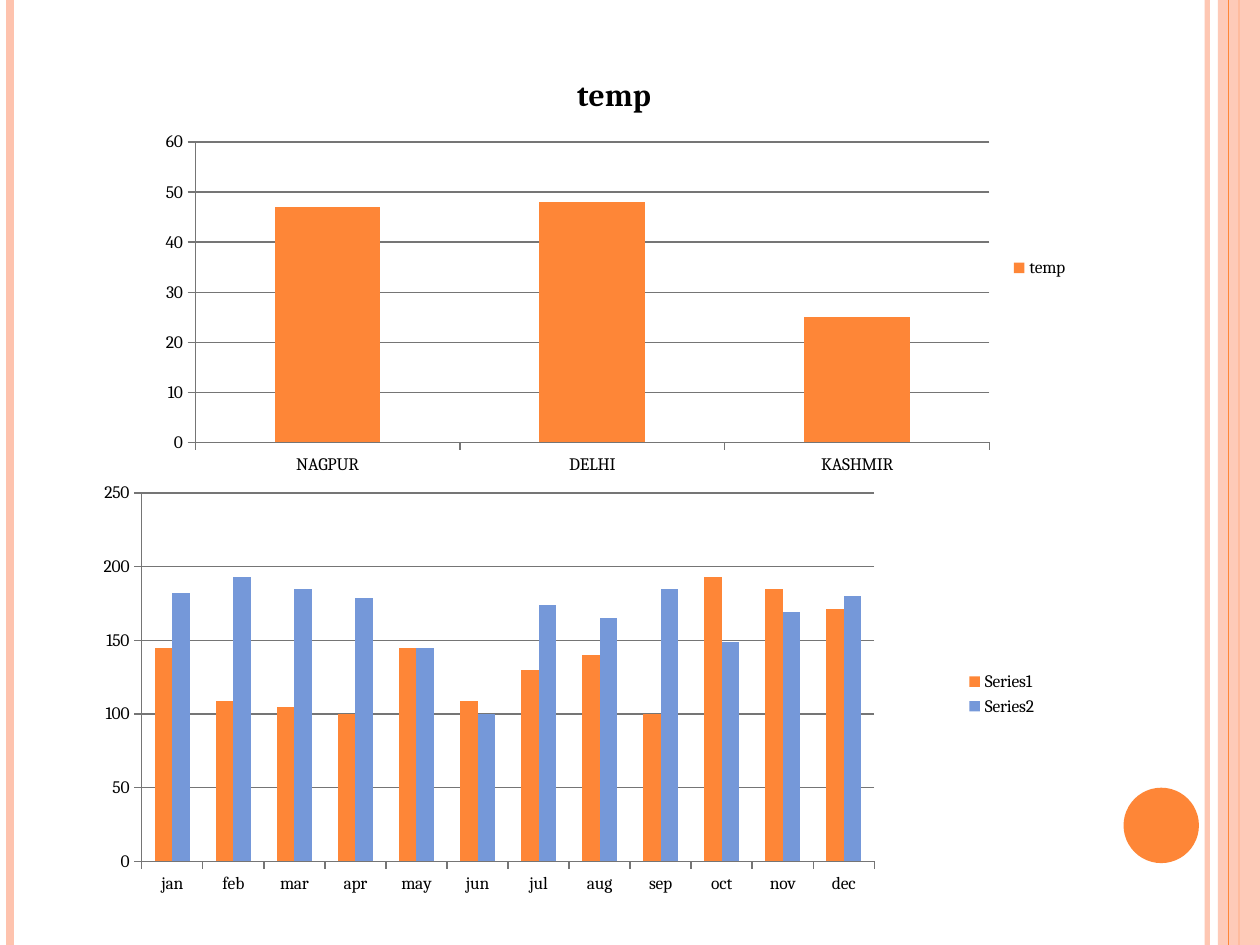
from lxml.etree import SubElement
from pptx import Presentation
from pptx.chart.data import CategoryChartData
from pptx.dml.color import RGBColor
from pptx.enum.chart import XL_CHART_TYPE, XL_LEGEND_POSITION, XL_TICK_MARK
from pptx.enum.shapes import MSO_CONNECTOR, MSO_SHAPE
from pptx.oxml.ns import qn
from pptx.util import Cm, Pt

COLOURS = {
    "orange": "FE8637",
    "peach": "FEC3AE",
    "blue": "7598D9",
    "axis": "757575",
    "text": "000000",
}
FONT = "Cambria"
PAGE_WIDTH, PAGE_HEIGHT = 25.4, 19.05
CITIES = ["NAGPUR", "DELHI", "KASHMIR"]
MONTHS = ["jan", "feb", "mar", "apr", "may", "jun",
          "jul", "aug", "sep", "oct", "nov", "dec"]
CITY_SERIES = [("temp", [47, 48, 25], "orange")]
MONTH_SERIES = [
    ("Series1", [145, 109, 105, 100, 145, 109, 130, 140, 100, 193, 185, 171], "orange"),
    ("Series2", [182, 193, 185, 179, 145, 100, 174, 165, 185, 149, 169, 180], "blue"),
]


def colour(name):
    """Return the named colour."""
    return RGBColor.from_string(COLOURS[name])


def format_font(font, size=10, bold=False, tint="text"):
    """Apply the deck font to a font object."""
    font.name = FONT
    font.size = Pt(size)
    font.bold = bold
    font.color.rgb = colour(tint)


def write_text(frame, text, **style):
    """Put one formatted span of text into a text frame."""
    span = frame.paragraphs[0].add_run()
    span.text = text
    format_font(span.font, **style)


def set_opacity(properties, percent):
    """Make the solid colour below the given element partly transparent."""
    tint = properties.find(".//" + qn("a:srgbClr"))
    SubElement(tint, qn("a:alpha"), val=str(percent * 1000))


def add_stripe(page, left, width, tint, opacity=100):
    """Draw a full-height vertical line."""
    line = page.shapes.add_connector(
        MSO_CONNECTOR.STRAIGHT, Cm(left), 0, Cm(left), Cm(PAGE_HEIGHT))
    line.line.color.rgb = colour(tint)
    line.line.width = Pt(width)
    properties = line._element.spPr
    if opacity < 100:
        set_opacity(properties, opacity)
    SubElement(properties, qn("a:effectLst"))


def add_plain_shape(page, kind, box, tint):
    """Draw a filled shape without outline or shadow."""
    shape = page.shapes.add_shape(kind, *map(Cm, box))
    shape.shadow.inherit = False
    shape.fill.solid()
    shape.fill.fore_color.rgb = colour(tint)
    shape.line.fill.background()
    return shape


def add_frame(page):
    """Draw the side stripes, the right band and the corner circle."""
    band_width = 0.85
    band_left = PAGE_WIDTH - band_width
    add_stripe(page, band_left - 0.21, 3, "peach", opacity=93)
    add_stripe(page, 0.21, 4.5, "peach")
    add_stripe(page, band_left + 0.43, 1.5, "orange")
    band = add_plain_shape(
        page, MSO_SHAPE.RECTANGLE, (band_left, 0, band_width, PAGE_HEIGHT), "peach")
    set_opacity(band._element.spPr, 87)
    add_stripe(page, band_left + 0.22, 0.75, "orange")
    add_plain_shape(page, MSO_SHAPE.OVAL, (22.65, 15.88, 1.52, 1.52), "orange")


def set_plot_area(chart, area):
    """Fix the inner plot area as fractions of the chart."""
    plot_area = chart._chartSpace.chart.plotArea
    layout = plot_area.find(qn("c:layout"))
    if layout is None:
        layout = SubElement(plot_area, qn("c:layout"))
        plot_area.insert(0, layout)
    manual = SubElement(layout, qn("c:manualLayout"))
    SubElement(manual, qn("c:layoutTarget"), val="inner")
    for side in ("xMode", "yMode"):
        SubElement(manual, qn("c:" + side), val="edge")
    for side, fraction in zip("xywh", area):
        SubElement(manual, qn("c:" + side), val=str(fraction))


def add_column_chart(page, box, categories, series, maximum, step, title=None, area=None):
    """Place a clustered column chart with a legend on the right."""
    data = CategoryChartData()
    data.categories = categories
    for name, values, _ in series:
        data.add_series(name, values)
    chart = page.shapes.add_chart(
        XL_CHART_TYPE.COLUMN_CLUSTERED, *map(Cm, box), data).chart
    format_font(chart.font)

    chart.has_title = title is not None
    if title:
        write_text(chart.chart_title.text_frame, title, size=18, bold=True)
    chart.has_legend = True
    chart.legend.position = XL_LEGEND_POSITION.RIGHT
    chart.legend.include_in_layout = False

    value_axis = chart.value_axis
    value_axis.minimum_scale = 0
    value_axis.maximum_scale = maximum
    value_axis.major_unit = step
    value_axis.has_major_gridlines = True
    for axis in (chart.category_axis, value_axis):
        axis.major_tick_mark = XL_TICK_MARK.OUTSIDE
    for part in (chart.category_axis, value_axis, value_axis.major_gridlines):
        part.format.line.color.rgb = colour("axis")
        part.format.line.width = Pt(0.75)

    plot = chart.plots[0]
    plot.gap_width = 150
    plot.overlap = 0
    plot.vary_by_categories = False
    for columns, (_, _, tint) in zip(plot.series, series):
        columns.format.fill.solid()
        columns.format.fill.fore_color.rgb = colour(tint)
    if area:
        set_plot_area(chart, area)


def main():
    """Build the slide and save the deck."""
    deck = Presentation()
    deck.slide_width, deck.slide_height = Cm(PAGE_WIDTH), Cm(PAGE_HEIGHT)
    page = deck.slides.add_slide(deck.slide_layouts[6])
    add_frame(page)
    add_column_chart(page, (2.96, 1.06, 18.84, 8.68), CITIES, CITY_SERIES,
                     maximum=60, step=10, title="temp")
    add_column_chart(page, (1.48, 9.74, 19.69, 8.47), MONTHS, MONTH_SERIES,
                     maximum=250, step=50, area=(0.07, 0.02, 0.75, 0.88))
    deck.save("out.pptx")


if __name__ == "__main__":
    main()
